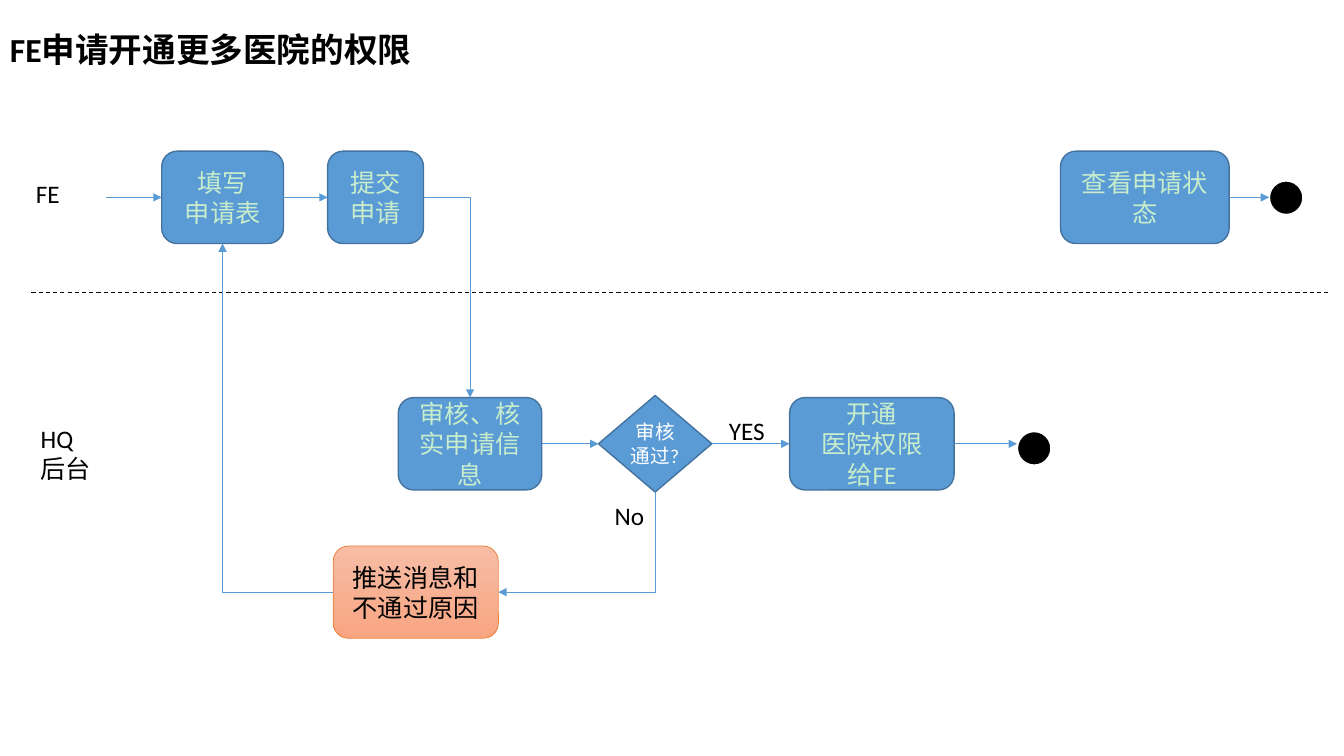
from lxml import etree
from pptx import Presentation
from pptx import util as u
from pptx.dml import color
from pptx.enum import dml, shapes, text
from pptx.oxml import ns

Pt = u.Pt
KIND = shapes.MSO_SHAPE
LINK = shapes.MSO_CONNECTOR
BLUE, GREEN, BLACK, WHITE = "5B9BD5", "C7EDCC", "000000", "FFFFFF"


def paint(hex_code):
    """Turn a hex string into a colour."""
    return color.RGBColor.from_string(hex_code)


def write(box, lines, hex_code, align, **formats):
    """Write one paragraph per line into a shape."""
    frame = box.text_frame
    frame.text = "\n".join(lines)
    for para in frame.paragraphs:
        para.alignment = align
        span = para.runs[0]
        span.font.color.rgb = paint(hex_code)
        for name, value in {"name": "Calibri", "size": Pt(18), **formats}.items():
            setattr(span.font, name, value)


deck = Presentation()
deck.slide_width, deck.slide_height = Pt(960), Pt(540)
page = deck.slides.add_slide(deck.slide_layouts[6])
page.background.fill.solid()
page.background.fill.fore_color.rgb = paint(WHITE)

# Title and labels: left, top, width, height, wrap, lines, formats
labels = [
    (0, 17, 305, 36, True, ["FE申请开通更多医院的权限"], {"size": Pt(24), "bold": True}),
    (18.5, 124, 67, 29, True, ["FE"], {}),
    (22, 299, 67, 51, True, ["HQ", "后台"], {}),
    (513.5, 293, 40, 29, False, ["YES"], {}),
    (432, 353.5, 36, 29, False, ["No"], {}),
]
for left, top, width, height, wrap, lines, formats in labels:
    box = page.shapes.add_textbox(Pt(left), Pt(top), Pt(width), Pt(height))
    box.text_frame.word_wrap = wrap
    write(box, lines, BLACK, text.PP_ALIGN.LEFT, **formats)

# Flow steps: kind, left, top, width, height, lines
FE_TOP, HQ_TOP, STEP_HEIGHT = 108, 284, 66
steps = {
    "fill": (KIND.ROUNDED_RECTANGLE, 115.5, FE_TOP, 87, STEP_HEIGHT, ["填写", "申请表"]),
    "submit": (KIND.ROUNDED_RECTANGLE, 234, FE_TOP, 68.5, STEP_HEIGHT, ["提交申请"]),
    "view": (KIND.ROUNDED_RECTANGLE, 757.5, FE_TOP, 120.5, STEP_HEIGHT, ["查看申请状态"]),
    "review": (KIND.ROUNDED_RECTANGLE, 284.5, HQ_TOP, 102.5, STEP_HEIGHT, ["审核、核实申请信息"]),
    "passed": (KIND.DIAMOND, 427.5, 282.5, 81, 69, ["审核通过?"]),
    "grant": (KIND.ROUNDED_RECTANGLE, 564, HQ_TOP, 117.5, STEP_HEIGHT,
              ["开通", "医院权限", "给FE"]),
    "reject": (KIND.ROUNDED_RECTANGLE, 238, 390, 118, STEP_HEIGHT, ["推送消息和不通过原因"]),
    "fe_end": (KIND.OVAL, 906.5, 129, 24.5, 24.5, []),
    "hq_end": (KIND.OVAL, 726.5, 308, 24.5, 24.5, []),
}
boxes = {}
for name, (kind, left, top, width, height, lines) in steps.items():
    box = page.shapes.add_shape(kind, Pt(left), Pt(top), Pt(width), Pt(height))
    boxes[name] = box
    box.shadow.inherit = False
    fill, edge, ink, weight, size = BLUE, "43739E", GREEN, 1, 18
    if kind == KIND.OVAL:
        fill, edge, weight = BLACK, WHITE, 1.5
    elif kind == KIND.DIAMOND:
        ink, size = WHITE, 14
        for side in ("left", "top", "right", "bottom"):
            setattr(box.text_frame, "margin_" + side, 0)
    elif name == "reject":
        edge, ink, weight = "ED7D31", BLACK, 0.5
    if name == "reject":
        box.fill.gradient()
        box.fill.gradient_angle = 270
        for stop, shade in zip(box.fill.gradient_stops, ("F7BDA5", "F8A582")):
            stop.color.rgb = paint(shade)
    else:
        box.fill.solid()
        box.fill.fore_color.rgb = paint(fill)
    box.line.color.rgb = paint(edge)
    box.line.width = Pt(weight)
    box.text_frame.word_wrap = True
    box.text_frame.vertical_anchor = text.MSO_ANCHOR.MIDDLE
    if lines:
        write(box, lines, ink, text.PP_ALIGN.CENTER, size=Pt(size))

# Lane divider
lane = page.shapes.add_connector(LINK.STRAIGHT, Pt(22.5), Pt(209), Pt(950), Pt(209))
lane.line.color.rgb = paint(BLACK)
lane.line.width = Pt(0.75)
lane.line.dash_style = dml.MSO_LINE.DASH
etree.SubElement(lane._element.spPr, ns.qn("a:effectLst"))

# Links: preset, start step and site, end step and site
TOP, LEFT, BOTTOM, RIGHT = range(4)
links = [
    ("line", None, None, "fill", LEFT),
    ("line", "fill", RIGHT, "submit", LEFT),
    ("bentConnector2", "submit", RIGHT, "review", TOP),
    ("bentConnector3", "review", RIGHT, "passed", LEFT),
    ("bentConnector3", "passed", RIGHT, "grant", LEFT),
    ("bentConnector3", "grant", RIGHT, "hq_end", None),
    ("bentConnector2", "passed", BOTTOM, "reject", RIGHT),
    ("bentConnector2", "reject", LEFT, "fill", BOTTOM),
    ("bentConnector3", "view", RIGHT, "fe_end", None),
]
for preset, start, start_site, end, end_site in links:
    style = LINK.STRAIGHT if preset == "line" else LINK.ELBOW
    link = page.shapes.add_connector(style, Pt(76), Pt(141), Pt(115), Pt(141))
    if start:
        link.begin_connect(boxes[start], start_site)
    if end_site is None:
        # End circles are met on the left, level with the start
        link.end_x, link.end_y = boxes[end].left, link.begin_y
    else:
        link.end_connect(boxes[end], end_site)
    properties = link._element.spPr
    properties.find(ns.qn("a:prstGeom")).set("prst", preset)
    if start_site == BOTTOM:
        # Leaves downwards: the frame is turned a quarter about its centre
        middle_x, middle_y = link.left + link.width // 2, link.top + link.height // 2
        across, down = link.width, link.height
        link.begin_x, link.end_x = middle_x - down // 2, middle_x + down // 2
        link.begin_y, link.end_y = middle_y - across // 2, middle_y + across // 2
        link.rotation = 90
    link.line.color.rgb = paint(BLUE)
    link.line.width = Pt(0.5)
    etree.SubElement(link.line._get_or_add_ln(), ns.qn("a:tailEnd"), type="triangle")
    etree.SubElement(properties, ns.qn("a:effectLst"))

deck.save("out.pptx")
